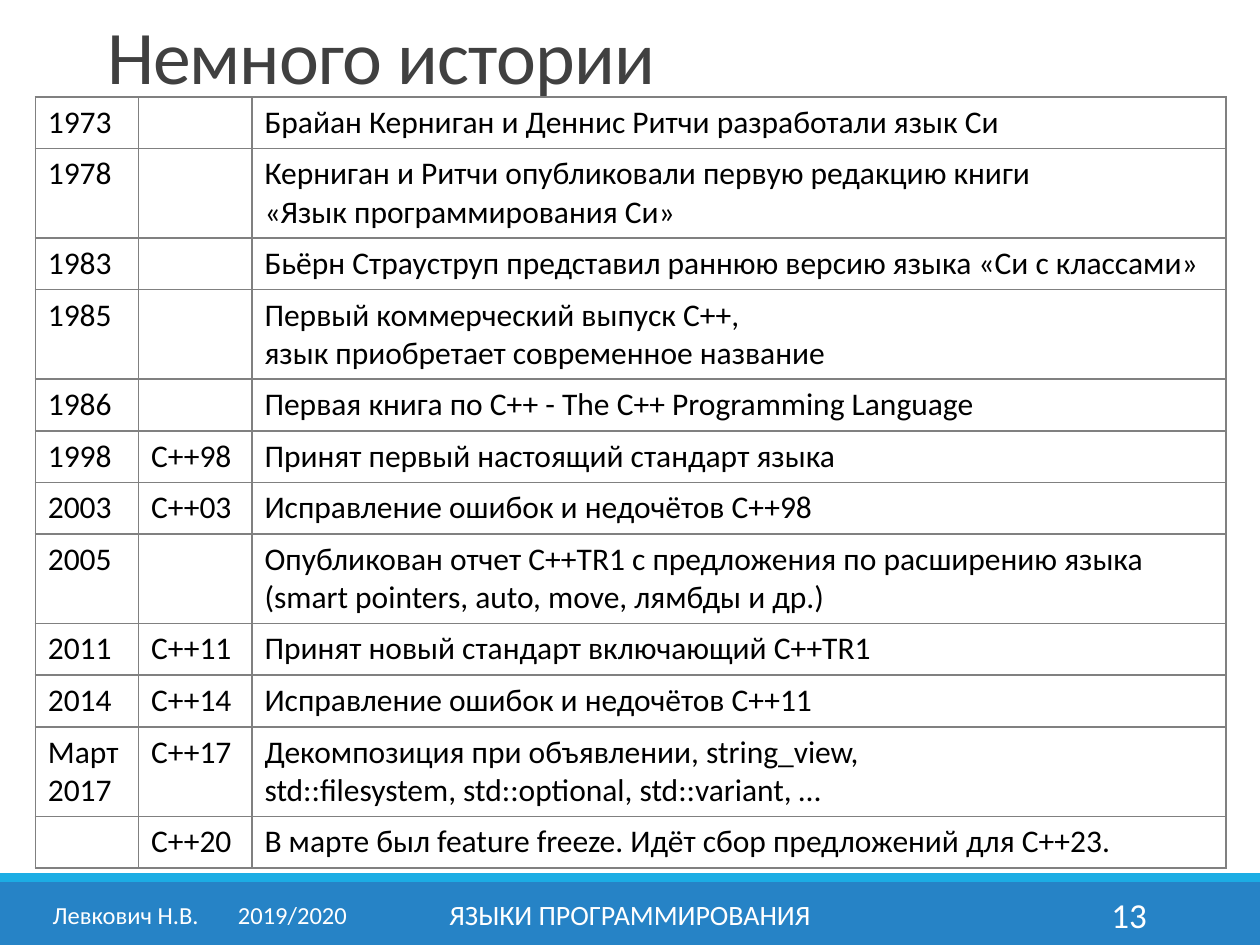
from typing import NamedTuple

import pptx
import pptx.dml.color
import pptx.enum.shapes
import pptx.enum.text
import pptx.oxml
import pptx.oxml.ns
import pptx.util
from pptx.util import Inches

Align = pptx.enum.text.PP_ALIGN
Anchor = pptx.enum.text.MSO_ANCHOR

COLORS = {
    "footer": "2683C6",
    "accent": "1CADE4",
    "title": "404040",
    "text": "000000",
    "light": "FFFFFF",
    "border": "808080",
}
FONT = "Calibri"
COLUMN_WIDTHS = (0.82, 0.9, 7.73)
ONE_LINE, TWO_LINES = 0.41, 0.71


class Band(NamedTuple):
    top: float
    height: float
    color: str


class FooterText(NamedTuple):
    text: str
    left: float
    width: float
    size: float
    align: Align


class Event(NamedTuple):
    year: str
    standard: str
    description: str
    height: float = ONE_LINE


BANDS = [Band(7, 0.5, "footer"), Band(6.93, 0.07, "accent")]

AUTHOR = FooterText("Левкович Н.В.\t2019/2020", 0.32, 2.61, 14, Align.LEFT)
COURSE = FooterText("ЯЗЫКИ ПРОГРАММИРОВАНИЯ", 3.02, 3.96, 16, Align.CENTER)
NUMBER = FooterText("13", 8.12, 1.08, 20, Align.RIGHT)

# \v is a line break, \n starts a new paragraph
EVENTS = [
    Event("1973", "", "Брайан Керниган и Деннис Ритчи разработали язык Cи"),
    Event("1978", "", "Керниган и Ритчи опубликовали первую редакцию книги\v"
          "«Язык программирования Си»", TWO_LINES),
    Event("1983", "", "Бьёрн Страуструп представил раннюю версию языка «Си с классами»"),
    Event("1985", "", "Первый коммерческий выпуск C++,\v"
          "язык приобретает современное название", TWO_LINES),
    Event("1986", "", "Первая книга по С++ - The C++ Programming Language"),
    Event("1998", "С++98", "Принят первый настоящий стандарт языка"),
    Event("2003", "С++03", "Исправление ошибок и недочётов С++98"),
    Event("2005", "", "Опубликован отчет С++TR1 с предложения по расширению языка "
          "(smart pointers, auto, move, лямбды и др.)", TWO_LINES),
    Event("2011", "С++11", "Принят новый стандарт включающий С++TR1"),
    Event("2014", "С++14", "Исправление ошибок и недочётов C++11"),
    Event("Март 2017", "С++17", "Декомпозиция при объявлении, string_view,\n"
          "std::filesystem, std::optional, std::variant, …", TWO_LINES),
    Event("", "С++20", "В марте был feature freeze. Идёт сбор предложений для C++23."),
]


def rgb(name: str) -> pptx.dml.color.RGBColor:
    return pptx.dml.color.RGBColor.from_string(COLORS[name])


def write_text(frame, text: str, *, size: float, color: str = "text",
               align: Align = Align.LEFT, anchor: Anchor = Anchor.TOP,
               line_spacing: float | None = None) -> None:
    frame.text = text
    frame.word_wrap = True
    frame.vertical_anchor = anchor
    for paragraph in frame.paragraphs:
        paragraph.alignment = align
        if line_spacing:
            paragraph.line_spacing = line_spacing
        for run in paragraph.runs:
            run.font.size = pptx.util.Pt(size)
            run.font.name = FONT
            run.font.color.rgb = rgb(color)


def add_band(slide, band: Band) -> None:
    shape = slide.shapes.add_shape(
        pptx.enum.shapes.MSO_SHAPE.RECTANGLE,
        0, Inches(band.top), Inches(10), Inches(band.height))
    shape.shadow.inherit = False
    shape.fill.solid()
    shape.fill.fore_color.rgb = rgb(band.color)
    shape.line.fill.background()


def add_footer_text(slide, item: FooterText):
    box = slide.shapes.add_textbox(
        Inches(item.left), Inches(7.06), Inches(item.width), Inches(0.4))
    write_text(box.text_frame, item.text, size=item.size, color="light",
               align=item.align, anchor=Anchor.MIDDLE)
    return box


def add_tab_stop(paragraph, position: float) -> None:
    namespace = pptx.oxml.ns.nsdecls("a")
    properties = paragraph._p.get_or_add_pPr()
    properties.append(pptx.oxml.parse_xml(
        f'<a:tabLst {namespace}><a:tab pos="{Inches(position)}" algn="l"/></a:tabLst>'))


def set_borders(cell) -> None:
    namespace = pptx.oxml.ns.nsdecls("a")
    properties = cell._tc.get_or_add_tcPr()
    for index, side in enumerate("LRTB"):
        properties.insert(index, pptx.oxml.parse_xml(
            f'<a:ln{side} {namespace} w="12700"><a:solidFill>'
            f'<a:srgbClr val="{COLORS["border"]}"/></a:solidFill></a:ln{side}>'))


def add_history(slide, events: list[Event]) -> None:
    table = slide.shapes.add_table(
        len(events), len(COLUMN_WIDTHS), Inches(0.28), Inches(0.77),
        Inches(sum(COLUMN_WIDTHS)), Inches(sum(event.height for event in events))).table
    table.first_row = False
    table.horz_banding = False
    for column, width in zip(table.columns, COLUMN_WIDTHS):
        column.width = Inches(width)
    for row, event in zip(table.rows, events):
        row.height = Inches(event.height)
        for cell, text in zip(row.cells, (event.year, event.standard, event.description)):
            cell.fill.background()
            set_borders(cell)
            write_text(cell.text_frame, text, size=18)


def main() -> None:
    presentation = pptx.Presentation()
    presentation.slide_width = Inches(10)
    presentation.slide_height = Inches(7.5)
    slide = presentation.slides.add_slide(presentation.slide_layouts[5])

    # Footer bands
    for band in BANDS:
        add_band(slide, band)

    # Title
    title = slide.shapes.title
    title.left, title.top = Inches(0.75), Inches(0.13)
    title.width, title.height = Inches(8.25), Inches(0.71)
    write_text(title.text_frame, "Немного истории", size=43.2, color="title",
               anchor=Anchor.BOTTOM, line_spacing=0.85)
    title.text_frame.auto_size = pptx.enum.text.MSO_AUTO_SIZE.NONE
    title_run = title.text_frame.paragraphs[0].runs[0]
    title_run.font._element.set("spc", "-50")

    # Footer texts
    add_footer_text(slide, COURSE)
    add_footer_text(slide, NUMBER)
    author = add_footer_text(slide, AUTHOR)
    add_tab_stop(author.text_frame.paragraphs[0], 1.47)

    # Timeline table
    add_history(slide, EVENTS)

    presentation.save("out.pptx")


if __name__ == "__main__":
    main()
